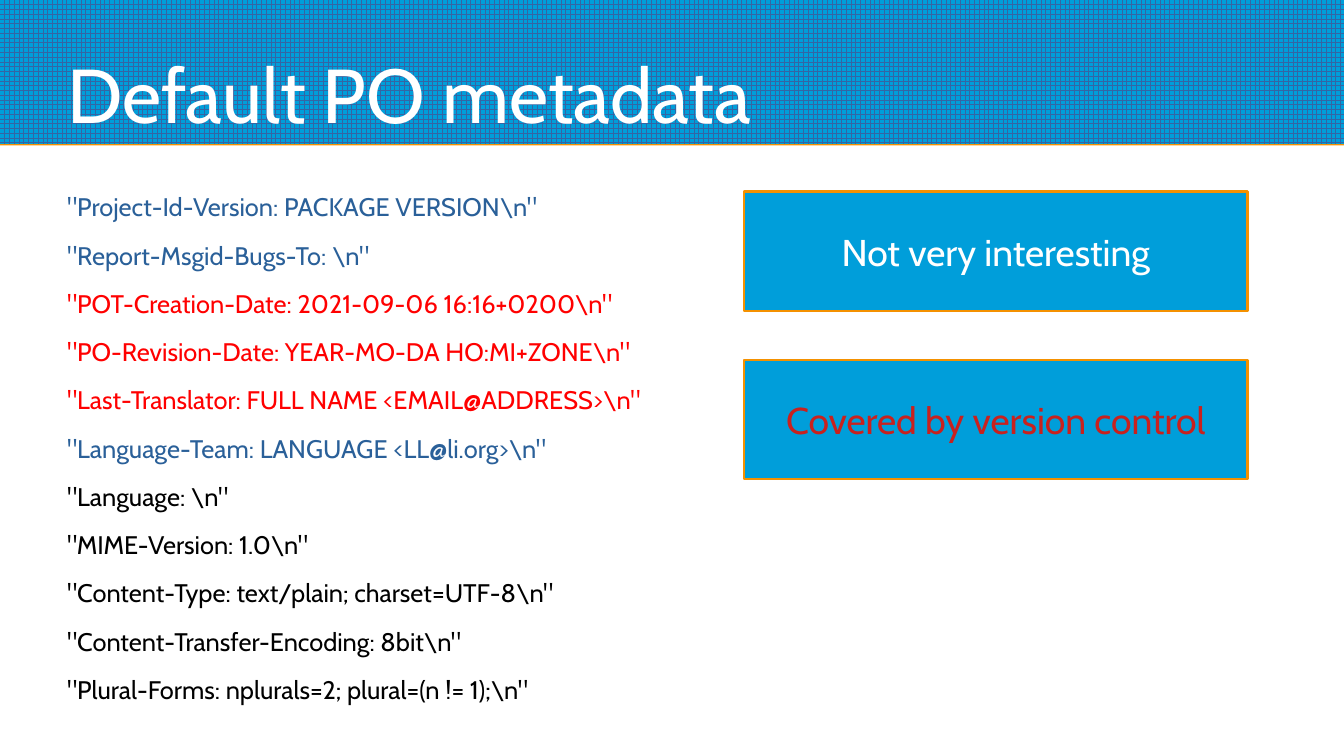
"""Build the slide on default PO metadata."""
from dataclasses import dataclass

import pptx
import pptx.dml.color
import pptx.enum.dml
import pptx.enum.shapes
import pptx.enum.text
import pptx.oxml
import pptx.oxml.ns
import pptx.slide
import pptx.text.text
import pptx.util

Inches = pptx.util.Inches
Pt = pptx.util.Pt
Align = pptx.enum.text.PP_ALIGN
Anchor = pptx.enum.text.MSO_ANCHOR

COLOURS = {
    "sky": "009EDA",
    "grid": "3465A4",
    "orange": "F49100",
    "white": "FFFFFF",
    "uninteresting": "2A6099",
    "versioned": "FF0000",
    "kept": "000000",
    "legend_red": "C9211E",
}
WIDTH = 11.02
MARGIN = 0.55
CONTENT_TOP = 1.57
LEGEND_PITCH = 1.38


@dataclass(frozen=True)
class Header:
    """One metadata header and the colour of its group."""
    text: str
    colour: str


@dataclass(frozen=True)
class Legend:
    """One legend box and the colour of its words."""
    text: str
    colour: str


HEADERS = [
    Header(r'"Project-Id-Version: PACKAGE VERSION\n"', "uninteresting"),
    Header(r'"Report-Msgid-Bugs-To: \n"', "uninteresting"),
    Header(r'"POT-Creation-Date: 2021-09-06 16:16+0200\n"', "versioned"),
    Header(r'"PO-Revision-Date: YEAR-MO-DA HO:MI+ZONE\n"', "versioned"),
    Header(r'"Last-Translator: FULL NAME <EMAIL@ADDRESS>\n"', "versioned"),
    Header(r'"Language-Team: LANGUAGE <LL@li.org>\n"', "uninteresting"),
    Header(r'"Language: \n"', "kept"),
    Header(r'"MIME-Version: 1.0\n"', "kept"),
    Header(r'"Content-Type: text/plain; charset=UTF-8\n"', "kept"),
    Header(r'"Content-Transfer-Encoding: 8bit\n"', "kept"),
    Header(r'"Plural-Forms: nplurals=2; plural=(n != 1);\n"', "kept"),
]
LEGENDS = [
    Legend("Not very interesting", "white"),
    Legend("Covered by version control", "legend_red"),
]


def rgb(name: str) -> pptx.dml.color.RGBColor:
    """Look up a named colour."""
    return pptx.dml.color.RGBColor.from_string(COLOURS[name])


def style(paragraph: pptx.text.text._Paragraph, size: float, colour: str,
          align: Align = Align.LEFT) -> None:
    """Set the font and alignment of a paragraph."""
    paragraph.alignment = align
    paragraph.font.name = "Cabin"
    paragraph.font.size = Pt(size)
    paragraph.font.color.rgb = rgb(colour)


def set_frame(frame: pptx.text.text.TextFrame, inset: float, anchor: Anchor,
              wrap: bool = True) -> None:
    """Set the insets, anchor and wrapping of a text frame."""
    frame.auto_size = pptx.enum.text.MSO_AUTO_SIZE.NONE
    frame.margin_left = frame.margin_right = Inches(inset)
    frame.margin_top = frame.margin_bottom = Inches(inset)
    frame.vertical_anchor = anchor
    frame.word_wrap = wrap


def draw_band(slide: pptx.slide.Slide) -> None:
    """Draw the gridded title band with its orange lower edge."""
    band = slide.shapes.add_shape(
        pptx.enum.shapes.MSO_SHAPE.RECTANGLE, 0, 0, Inches(WIDTH), Inches(1.18))
    band.fill.patterned()
    band.fill.pattern = pptx.enum.dml.MSO_PATTERN.LARGE_GRID
    band.fill.fore_color.rgb = rgb("grid")
    band.fill.back_color.rgb = rgb("sky")
    band.line.fill.background()
    band.shadow.inherit = False
    effects = band._element.spPr.find(pptx.oxml.ns.qn("a:effectLst"))
    effects.append(pptx.oxml.parse_xml(
        f'<a:outerShdw {pptx.oxml.ns.nsdecls("a")} blurRad="0" dist="{Pt(0.9)}" '
        f'dir="5400000" algn="ctr" rotWithShape="0">'
        f'<a:srgbClr val="{COLOURS["orange"]}"/></a:outerShdw>'))
    slide.shapes._spTree.insert(2, band._element)


def draw_title(slide: pptx.slide.Slide, text: str) -> None:
    """Place and format the title placeholder."""
    title = slide.shapes.title
    title.left, title.top = Inches(MARGIN), Inches(0.1)
    title.width, title.height = Inches(9.92), Inches(1.04)
    title.text_frame.text = text
    set_frame(title.text_frame, 0, Anchor.BOTTOM)
    style(title.text_frame.paragraphs[0], 45, "white")


def draw_headers(slide: pptx.slide.Slide, headers: list[Header]) -> None:
    """Write the metadata headers, one to a paragraph."""
    listing = slide.shapes.add_textbox(
        Inches(MARGIN), Inches(CONTENT_TOP), Inches(9.87), Inches(3.83))
    frame = listing.text_frame
    set_frame(frame, 0, Anchor.TOP)
    frame.text = "\n".join(header.text for header in headers)
    for paragraph, header in zip(frame.paragraphs, headers):
        style(paragraph, 15, header.colour)
        paragraph.space_after = Pt(10.5)


def draw_legend(slide: pptx.slide.Slide, legend: Legend, row: int) -> None:
    """Draw one legend box in its row."""
    box = slide.shapes.add_shape(
        pptx.enum.shapes.MSO_SHAPE.RECTANGLE, Inches(6.1),
        Inches(CONTENT_TOP + row * LEGEND_PITCH), Inches(4.13), Inches(0.98))
    box.shadow.inherit = False
    box.fill.solid()
    box.fill.fore_color.rgb = rgb("sky")
    box.line.color.rgb = rgb("orange")
    box.line.width = Pt(1.42)
    box.text_frame.text = legend.text
    set_frame(box.text_frame, 0.04, Anchor.MIDDLE, wrap=False)
    style(box.text_frame.paragraphs[0], 22, legend.colour, Align.CENTER)


def main() -> None:
    """Build and save the presentation."""
    deck = pptx.Presentation()
    deck.slide_width, deck.slide_height = Inches(WIDTH), Inches(6.2)
    slide = deck.slides.add_slide(deck.slide_layouts.get_by_name("Title Only"))
    draw_band(slide)
    draw_title(slide, "Default PO metadata")
    draw_headers(slide, HEADERS)
    for row, legend in enumerate(LEGENDS):
        draw_legend(slide, legend, row)
    deck.save("out.pptx")


if __name__ == "__main__":
    main()
